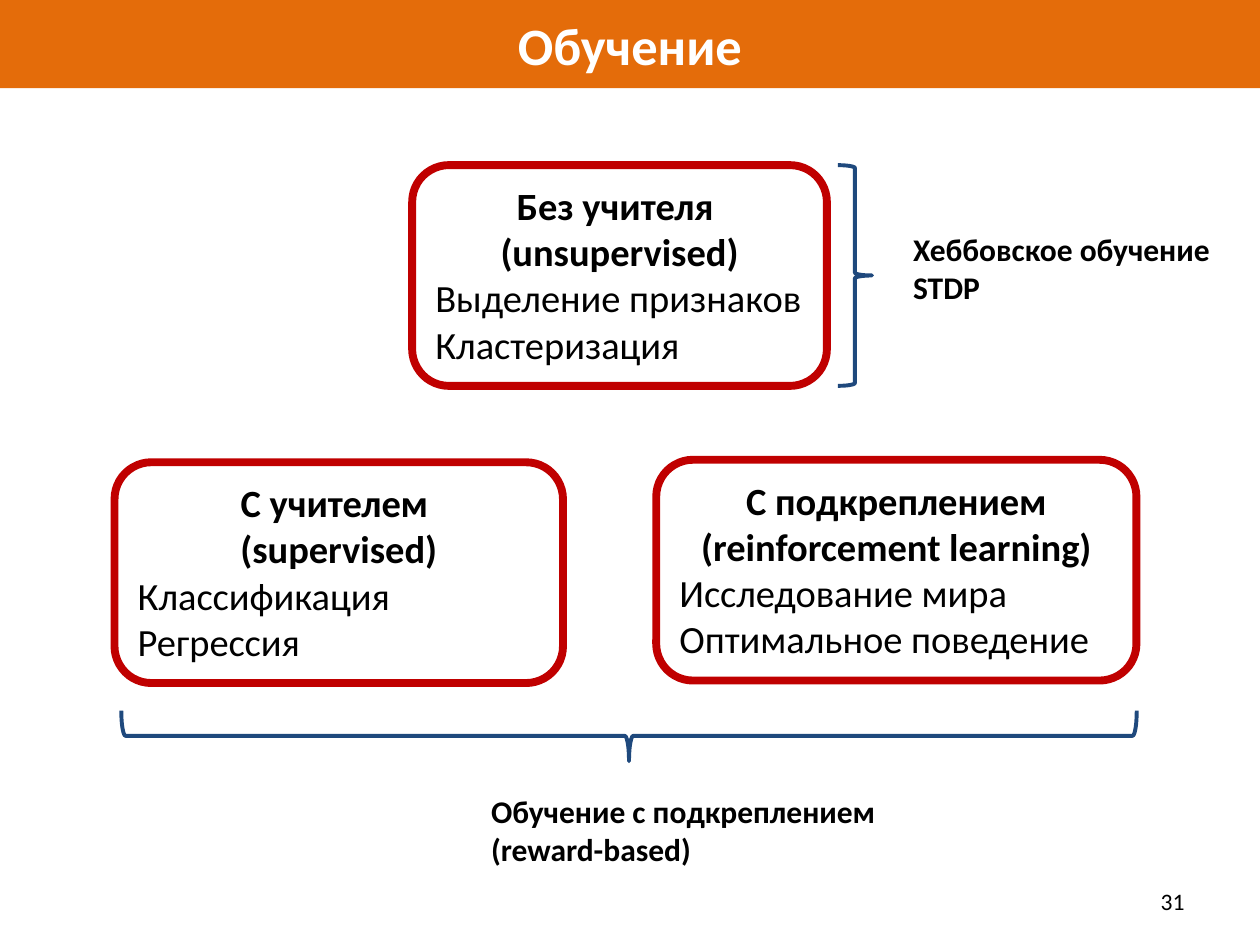
import pptx
import pptx.util
import pptx.dml.color
import pptx.enum.shapes
import pptx.enum.text
from dataclasses import dataclass

Cm = pptx.util.Cm
Kind = pptx.enum.shapes.MSO_SHAPE
Align = pptx.enum.text.PP_ALIGN
Anchor = pptx.enum.text.MSO_ANCHOR
Fit = pptx.enum.text.MSO_AUTO_SIZE


@dataclass(frozen=True)
class Theme:
    font: str = "Calibri"
    band: str = "E46C0A"
    frame: str = "C00000"
    brace: str = "1F497D"
    ink: str = "000000"
    white: str = "FFFFFF"
    title: float = 30
    body: float = 22
    note: float = 18
    page: float = 13.5
    thick: float = 4.5
    thin: float = 2.25


def rgb(code):
    return pptx.dml.color.RGBColor.from_string(code)


class Deck:
    def __init__(self, theme):
        self.theme = theme
        self.file = pptx.Presentation()
        self.file.slide_width, self.file.slide_height = Cm(25.4), Cm(19.05)
        self.slide = self.file.slides.add_slide(self.file.slide_layouts[6])

    def shape(self, kind, area, fill=None, line=None, width=0):
        item = self.slide.shapes.add_shape(kind, *map(Cm, area))
        item.shadow.inherit = False
        if fill:
            item.fill.solid()
            item.fill.fore_color.rgb = rgb(fill)
        else:
            item.fill.background()
        if line:
            item.line.color.rgb = rgb(line)
            item.line.width = pptx.util.Pt(width)
        else:
            item.line.fill.background()
        return item

    def label(self, item, lines, size, color, anchor=Anchor.TOP, grow=False):
        """Fill a shape with lines given as (text, bold, alignment)."""
        frame = item.text_frame
        frame.word_wrap = True
        frame.vertical_anchor = anchor
        if grow:
            frame.auto_size = Fit.SHAPE_TO_FIT_TEXT
        for i, (text, bold, align) in enumerate(lines):
            para = frame.add_paragraph() if i else frame.paragraphs[0]
            para.alignment = align
            run = para.add_run()
            run.text = text
            run.font.name = self.theme.font
            run.font.size = pptx.util.Pt(size)
            run.font.bold = bold
            run.font.color.rgb = rgb(color)

    def title(self, text):
        look = self.theme
        band = self.shape(Kind.RECTANGLE, (0, 0, 25.4, 1.78), fill=look.band)
        self.label(band, [(text, True, Align.CENTER)], look.title, look.white,
                   Anchor.MIDDLE)

    def page(self, text):
        box = self.slide.shapes.add_textbox(
            Cm(18.21), Cm(17.65), Cm(5.92), Cm(1.02))
        self.label(box, [(text, False, Align.RIGHT)], self.theme.page,
                   self.theme.ink, Anchor.MIDDLE)

    def card(self, area, heads, tasks):
        look = self.theme
        box = self.shape(Kind.ROUNDED_RECTANGLE, area, line=look.frame,
                         width=look.thick)
        lines = [(text, True, Align.CENTER) for text in heads]
        lines += [(text, False, Align.LEFT) for text in tasks]
        self.label(box, lines, look.body, look.ink, grow=True)

    def note(self, area, *lines):
        box = self.slide.shapes.add_textbox(*map(Cm, area))
        self.label(box, [(text, True, Align.LEFT) for text in lines],
                   self.theme.note, self.theme.ink, grow=True)

    def brace(self, area, turn=0):
        item = self.shape(Kind.RIGHT_BRACE, area, line=self.theme.brace,
                          width=self.theme.thin)
        item.rotation = turn


def main():
    deck = Deck(Theme())
    deck.title("Обучение")
    deck.page("31")
    tall = 4.45
    deck.card((8.31, 3.33, 8.36, tall), ["Без учителя ", "(unsupervised)"],
              ["Выделение признаков", "Кластеризация"])
    deck.card((2.31, 9.32, 9.04, tall), ["С учителем ", "(supervised)"],
              ["Классификация", "Регрессия"])
    deck.card((13.23, 9.27, 9.68, tall),
              ["С подкреплением (reinforcement learning)"],
              ["Исследование мира", "Оптимальное поведение"])
    deck.note((18.16, 4.52, 6.55, 1.8), "Хеббовское обучение", "STDP")
    deck.note((9.65, 15.85, 8.56, 1.8),
              "Обучение с подкреплением (reward-based)")
    deck.brace((16.89, 3.33, 0.69, tall))
    deck.brace((12.17, 4.6, 1.02, 20.47), turn=90)
    deck.file.save("out.pptx")


if __name__ == "__main__":
    main()
